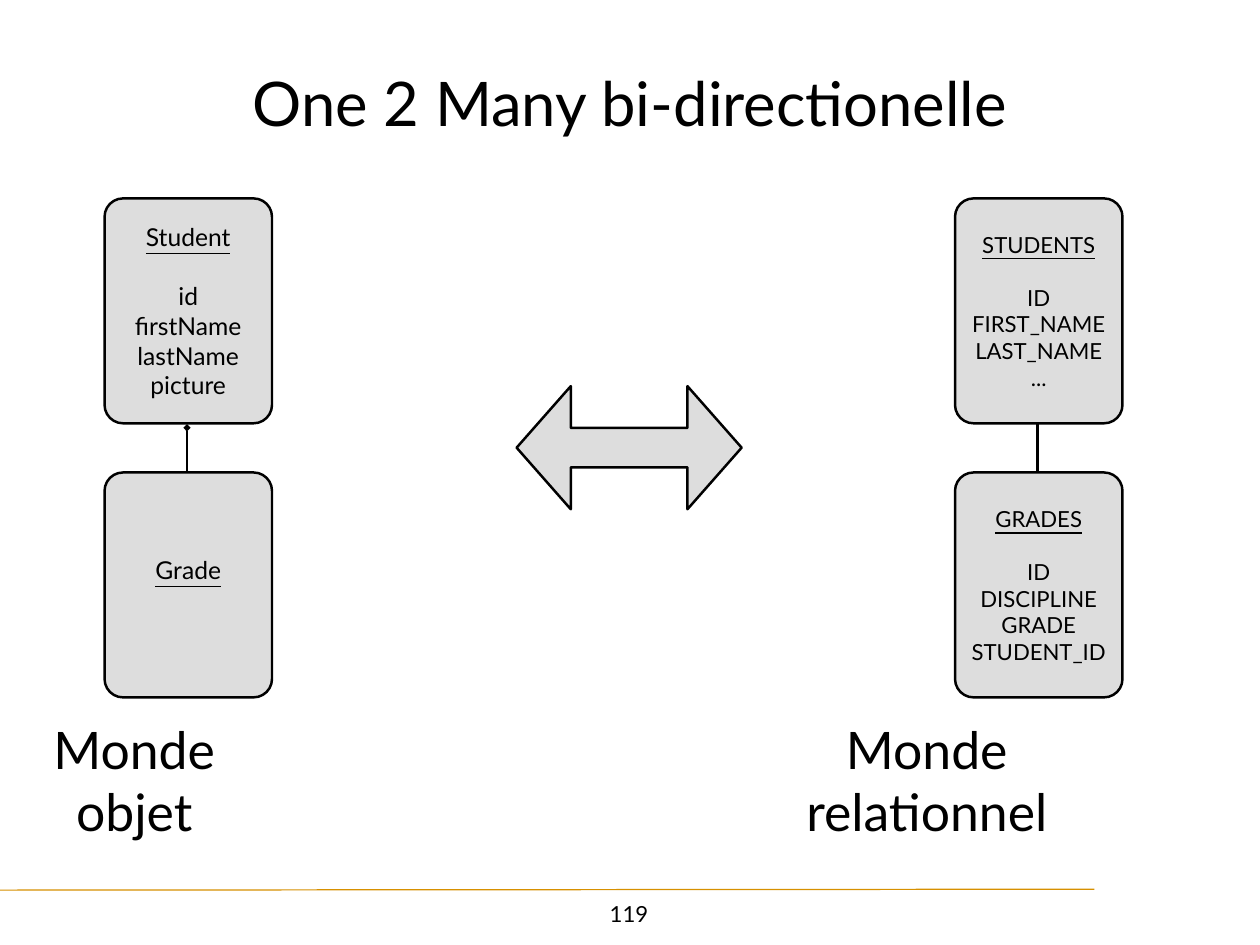
from lxml import etree
from pptx import Presentation, util as u
from pptx.dml.color import RGBColor
from pptx.enum import shapes, text
from pptx.oxml.ns import qn

BLACK, GREY, GOLD = "000000", "DDDDDD", "D79000"
LINE_PITCH = 1.2


def colour(hex_code):
    return RGBColor.from_string(hex_code)


class Board:
    """Style and current slide; lengths are in a grid of 100 columns by 100 rows."""
    font = "Lato"
    inset = u.Inches(0.06)

    def __init__(self, deck, layout):
        self.slide = deck.slides.add_slide(deck.slide_layouts[layout])
        self.column = deck.slide_width / 100
        self.row = deck.slide_height / 100

    def place(self, left, top, width, height):
        return (round(left * self.column), round(top * self.row),
                round(width * self.column), round(height * self.row))

    def set_lines(self, frame, lines, size, wrap=True, heading=False):
        frame.text = "\n".join(lines)
        frame.word_wrap = wrap
        frame.auto_size = text.MSO_AUTO_SIZE.NONE
        frame.vertical_anchor = text.MSO_ANCHOR.MIDDLE
        frame.margin_left = frame.margin_right = self.inset
        frame.margin_top = frame.margin_bottom = self.inset
        for index, paragraph in enumerate(frame.paragraphs):
            paragraph.alignment = text.PP_ALIGN.CENTER
            if heading and index == 1:
                paragraph.space_before = u.Pt(size * LINE_PITCH)
            for run in paragraph.runs:
                run.font.name = self.font
                run.font.size = u.Pt(size)
                run.font.color.rgb = colour(BLACK)
                run.font.underline = heading and index == 0

    def title(self, words, size, *box):
        heading = self.slide.shapes.title
        heading.left, heading.top, heading.width, heading.height = self.place(*box)
        self.set_lines(heading.text_frame, [words], size)

    def label(self, words, size, *box, wrap=True):
        caption = self.slide.shapes.add_textbox(*self.place(*box))
        self.set_lines(caption.text_frame, [words], size, wrap)
        caption.text_frame.margin_left = caption.text_frame.margin_right = 0

    def figure(self, kind, adjustments, *box):
        drawn = self.slide.shapes.add_shape(kind, *self.place(*box))
        drawn.shadow.inherit = False
        drawn.fill.solid()
        drawn.fill.fore_color.rgb = colour(GREY)
        drawn.line.color.rgb = colour(BLACK)
        drawn.line.width = u.Pt(2)
        for index, value in enumerate(adjustments):
            drawn.adjustments[index] = value
        return drawn

    def entity(self, lines, size, *box):
        card = self.figure(shapes.MSO_SHAPE.ROUNDED_RECTANGLE, [0.11], *box)
        self.set_lines(card.text_frame, lines, size, heading=True)
        if len(lines) == 1:  # a lone heading sits half a line higher
            card.text_frame.margin_bottom += u.Pt(size * LINE_PITCH)

    def link(self, x1, y1, x2, y2, hex_code=BLACK, width=2, head=None):
        start, end = self.place(x1, y1, 0, 0)[:2], self.place(x2, y2, 0, 0)[:2]
        line = self.slide.shapes.add_connector(
            shapes.MSO_CONNECTOR.STRAIGHT, *start, *end)
        line.line.color.rgb = colour(hex_code)
        line.line.width = u.Pt(width)
        properties = line._element.spPr
        if head:
            etree.SubElement(properties.find(qn("a:ln")), qn("a:headEnd"), type=head)
        etree.SubElement(properties, qn("a:effectLst"))


deck = Presentation()
deck.slide_width, deck.slide_height = u.Inches(14.22), u.Inches(10.67)
board = Board(deck, 5)

# Footer rule, page number and title
board.link(-2.74, 94.2, 86.85, 94.1, GOLD, 1)
board.label("119", 18, 48.17, 94.85, 3.5, 3.75, wrap=False)
board.title("One 2 Many bi-directionelle", 50, 9.77, 2.62, 80.45, 16.3)

# Object world and relational world: two entities joined by a link
CARD_WIDTH, CARD_HEIGHT, UPPER, LOWER = 13.29, 23.8, 21, 50
worlds = [
    (8.3, 20, ["Student", "id", "firstName", "lastName", "picture"], ["Grade"],
     45.27, "diamond", "Monde objet", 3.8, 13.7),
    (75.8, 18, ["STUDENTS", "ID", "FIRST_NAME", "LAST_NAME", "..."],
     ["GRADES", "ID", "DISCIPLINE", "GRADE", "STUDENT_ID"],
     UPPER + CARD_HEIGHT, None, "Monde relationnel", 63.7, 19.7),
]
for left, size, parent, child, link_top, head, name, name_left, name_width in worlds:
    board.entity(parent, size, left, UPPER, CARD_WIDTH, CARD_HEIGHT)
    board.entity(child, size, left, LOWER, CARD_WIDTH, CARD_HEIGHT)
    link_x = left + 6.54
    board.link(link_x, link_top, link_x, LOWER, head=head)
    board.label(name, 42, name_left, 75.35, name_width, 14.3)

# Mapping between the worlds
board.figure(shapes.MSO_SHAPE.LEFT_RIGHT_ARROW, [0.32, 0.44], 41, 40.86, 17.86, 13.03)

deck.save("out.pptx")
